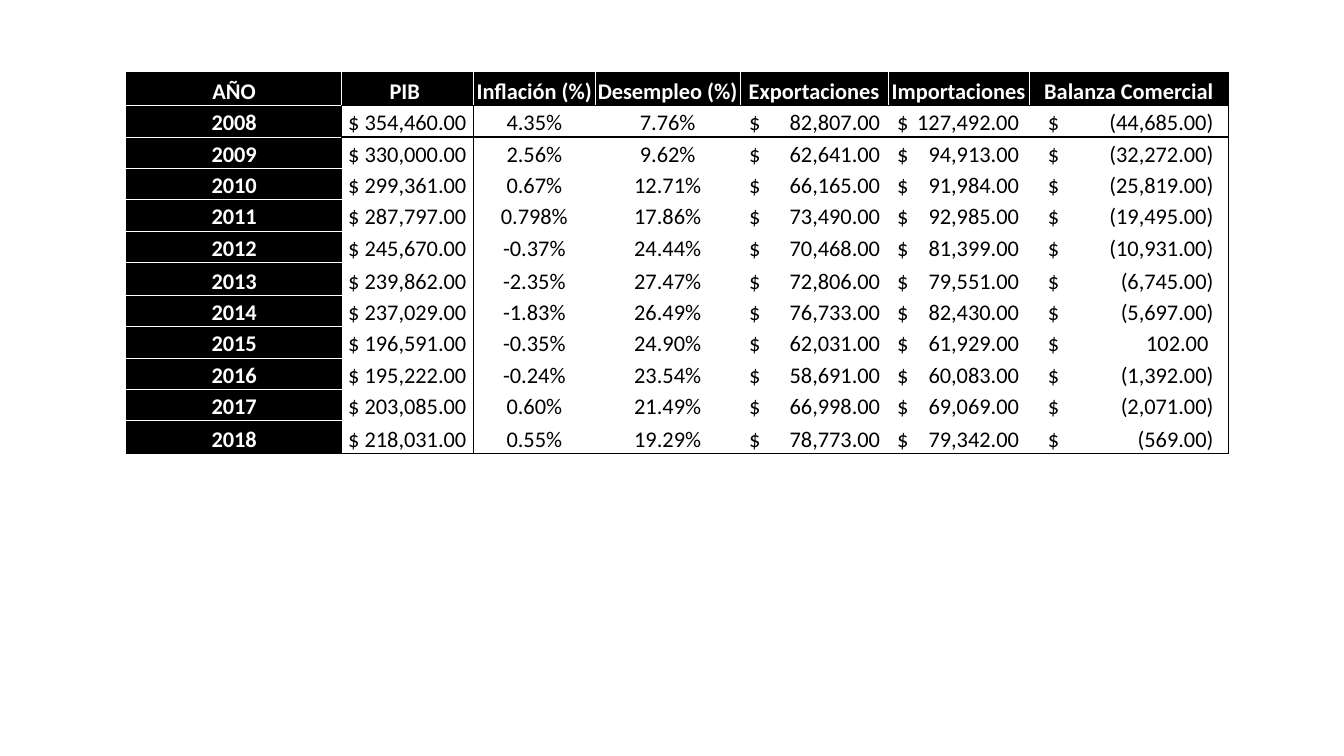
from dataclasses import dataclass

from lxml import etree
from pptx import Presentation
from pptx.dml.color import RGBColor
from pptx.enum.text import MSO_ANCHOR, PP_ALIGN
from pptx.oxml.ns import qn
from pptx.util import Cm, Pt

BOTTOM = MSO_ANCHOR.BOTTOM
CENTER, LEFT = PP_ALIGN.CENTER, PP_ALIGN.LEFT
PLAIN = "{2D5ABB26-0587-4C30-8999-92F81FD0307C}"  # table style without fills or grid
SIDES = {"lnL": (0, -1), "lnR": (0, 1), "lnT": (-1, 0), "lnB": (1, 0)}

HEADS = ["AÑO", "PIB ", "Inflación (%)", "Desempleo (%)",
         "Exportaciones", "Importaciones", "Balanza Comercial"]
START = 2008
# GDP, inflation, unemployment, exports, imports
DATA = [
    (354460, "4.35%", "7.76%", 82807, 127492),
    (330000, "2.56%", "9.62%", 62641, 94913),
    (299361, "0.67%", "12.71%", 66165, 91984),
    (287797, "0.798%", "17.86%", 73490, 92985),
    (245670, "-0.37%", "24.44%", 70468, 81399),
    (239862, "-2.35%", "27.47%", 72806, 79551),
    (237029, "-1.83%", "26.49%", 76733, 82430),
    (196591, "-0.35%", "24.90%", 62031, 61929),
    (195222, "-0.24%", "23.54%", 58691, 60083),
    (203085, "0.60%", "21.49%", 66998, 69069),
    (218031, "0.55%", "19.29%", 78773, 79342),
]
WIDTHS = [5.4, 3.33, 3.07, 3.65, 3.73, 3.55, 5.03]
TALL, LOW = 0.83, 0.79
TALL_ROWS = (0, 6, 11)
# column: (left inset, right tab stop) in cm, for "$" left and amount right
TABS = {4: (0.23, 3.3), 5: (0.23, 3.07), 6: (0.48, 4.17)}


@dataclass
class Theme:
    """Colours, font and sizes of the slide."""
    dark: str = "000000"
    light: str = "FFFFFF"
    font: str = "Calibri"
    size: float = 16
    thick: float = 1
    thin: float = 0.5


def money(value):
    """Format an amount, with a loss in brackets."""
    return f"({-value:,.2f})" if value < 0 else f"{value:,.2f} "


def build_rows():
    """Return the text of every row, with the trade balance worked out."""
    rows = [HEADS]
    for year, (gdp, prices, jobless, sold, bought) in enumerate(DATA, START):
        trade = [f"$\t{money(sold).strip()}", f"$\t{money(bought).strip()}",
                 f"$\t{money(sold - bought)}"]
        rows.append([str(year), f"$ {gdp:,.2f}", prices, jobless, *trade])
    return rows


class Deck:
    """Holds the theme and the current slide."""

    def __init__(self, theme):
        """Start a wide file with one blank slide."""
        self.theme = theme
        self.file = Presentation()
        self.file.slide_width, self.file.slide_height = Cm(33.87), Cm(19.05)
        self.slide = self.file.slides.add_slide(self.file.slide_layouts[6])

    def table(self, left, top, rows):
        """Add the table with a dark first row and first column."""
        highs = [TALL if r in TALL_ROWS else LOW for r in range(len(rows))]
        frame = self.slide.shapes.add_table(
            len(rows), len(WIDTHS), Cm(left), Cm(top),
            Cm(sum(WIDTHS)), Cm(sum(highs)))
        grid = frame.table
        grid.horz_banding = False
        grid._tbl.tblPr.find(qn("a:tableStyleId")).text = PLAIN
        for col, width in zip(grid.columns, WIDTHS):
            col.width = Cm(width)
        for row, high in zip(grid.rows, highs):
            row.height = Cm(high)
        for r, row in enumerate(rows):
            for c, text in enumerate(row):
                cell = grid.cell(r, c)
                self.edges(cell, r, c, len(rows), len(row))
                self.fill(cell, r == 0 or c == 0)
                self.text(cell, text, r == 0 or c == 0, TABS.get(c))

    def edges(self, cell, r, c, high, wide):
        """Draw white lines between dark cells, black ones around each area."""
        own = r == 0 or c == 0
        for side, (down, over) in SIDES.items():
            y, x = r + down, c + over
            inside = 0 <= y < high and 0 <= x < wide
            other = y == 0 or x == 0
            if inside and own and other:
                self.edge(cell, side, self.theme.light, self.theme.thin)
            elif not inside or own or other:
                self.edge(cell, side, self.theme.dark, self.theme.thick)

    def edge(self, cell, side, color, width):
        """Draw one border of a cell."""
        props = cell._tc.get_or_add_tcPr()
        line = etree.SubElement(props, qn(f"a:{side}"), w=str(Pt(width)))
        paint = etree.SubElement(line, qn("a:solidFill"))
        etree.SubElement(paint, qn("a:srgbClr"), val=color)

    def fill(self, cell, dark):
        """Fill a dark cell and leave any other clear."""
        if dark:
            cell.fill.solid()
            cell.fill.fore_color.rgb = RGBColor.from_string(self.theme.dark)
        else:
            cell.fill.background()

    def text(self, cell, text, dark, tab):
        """Write a cell, with a tab stop where the text holds a tab."""
        cell.vertical_anchor = BOTTOM
        cell.margin_left = cell.margin_right = cell.margin_top = Cm(0.03)
        cell.margin_bottom = 0
        cell.text_frame.text = text
        para = cell.text_frame.paragraphs[0]
        para.alignment = CENTER
        if tab and "\t" in text:
            inset, stop = tab
            para.alignment = LEFT
            cell.margin_left = Cm(inset)
            stops = etree.SubElement(para._p.get_or_add_pPr(), qn("a:tabLst"))
            etree.SubElement(stops, qn("a:tab"), pos=str(Cm(stop)), algn="r")
        color = self.theme.light if dark else self.theme.dark
        for run in para.runs:
            run.font.name, run.font.size = self.theme.font, Pt(self.theme.size)
            run.font.bold = dark
            run.font.color.rgb = RGBColor.from_string(color)


deck = Deck(Theme())
deck.table(3.2, 1.83, build_rows())
deck.file.save("out.pptx")
